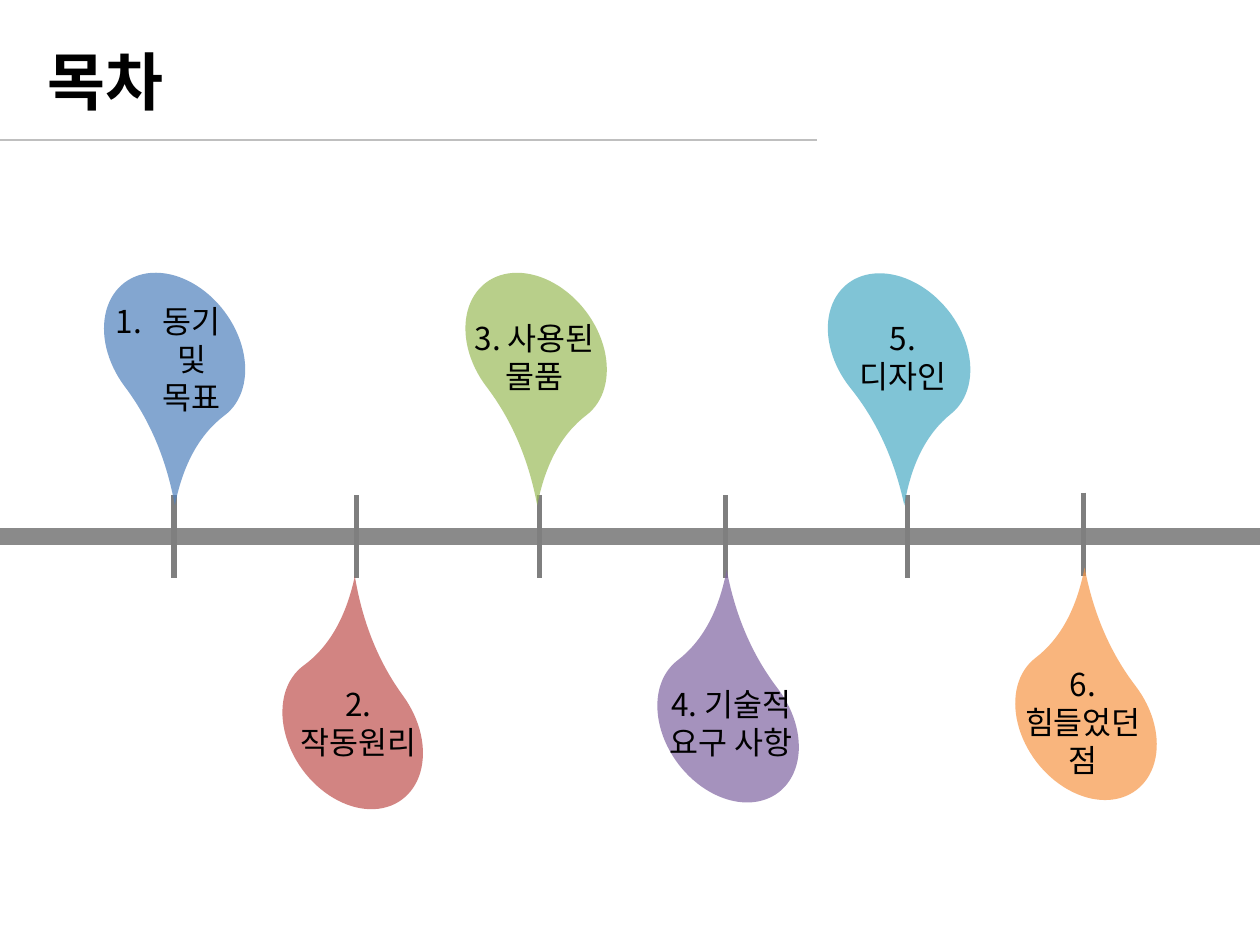
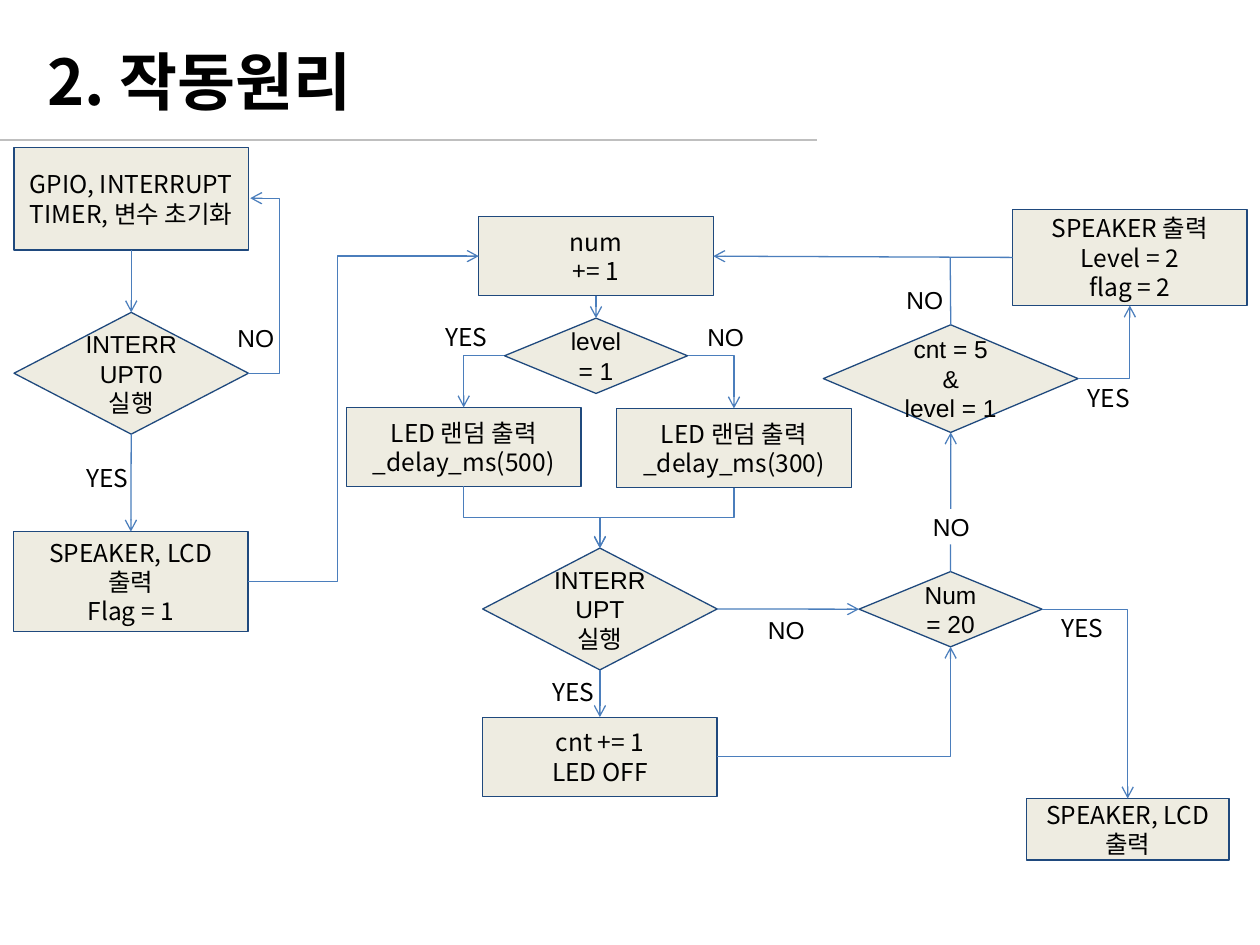
from lxml.etree import SubElement
from pptx import Presentation
from pptx.dml.color import RGBColor
from pptx.enum.shapes import MSO_CONNECTOR, MSO_SHAPE
from pptx.enum.text import MSO_ANCHOR, PP_ALIGN
from pptx.oxml.ns import qn
from pptx.util import Pt

COLORS = {
    "text": "000000", "white": "FFFFFF", "rule": "BFBFBF",
    "axis": "8A8A8A", "tick": "7F7F7F",
    "node": "EEECE1", "border": "1F497D", "flow": "4B7EBC",
    "blue": "4F81BD", "red": "C0504D", "green": "9BBB59",
    "purple": "8064A2", "teal": "4BACC6", "orange": "F79646",
}
KOREAN = "Noto Sans CJK KR"
LATIN = "Arial"
SIDES = {"left": (0, 0.5), "right": (1, 0.5), "top": (0.5, 0), "bottom": (0.5, 1)}


def rgb(name):
    return RGBColor.from_string(COLORS[name])


def points(*lengths):
    return [Pt(length) for length in lengths]


def write(shape, text, size=14, face=KOREAN, bold=False, align=PP_ALIGN.CENTER,
          anchor=MSO_ANCHOR.MIDDLE, inset=7.2, numbered=False):
    frame = shape.text_frame
    frame.word_wrap = True
    frame.vertical_anchor = anchor
    frame.margin_left = frame.margin_right = Pt(7.2)
    frame.margin_top = frame.margin_bottom = Pt(inset)
    for index, words in enumerate(text.split("\n")):
        paragraph = frame.add_paragraph() if index else frame.paragraphs[0]
        paragraph.alignment = align
        if numbered:
            properties = paragraph._p.get_or_add_pPr()
            properties.set("marL", str(Pt(27)))
            properties.set("indent", str(Pt(-27)))
            SubElement(properties, qn("a:buFont"), typeface="+mj-lt")
            SubElement(properties, qn("a:buAutoNum"), type="arabicPeriod")
        run = paragraph.add_run()
        run.text = words
        run.font.size = Pt(size)
        run.font.bold = bold
        run.font.name = face
        run.font.color.rgb = rgb("text")
        SubElement(run._r.get_or_add_rPr(), qn("a:ea"), typeface=KOREAN)


class Deck:
    def __init__(self):
        self.presentation = Presentation()
        self.presentation.slide_width = Pt(720)
        self.presentation.slide_height = Pt(540)
        self.slide = None

    def add_slide(self, title, title_width):
        self.slide = self.presentation.slides.add_slide(self.presentation.slide_layouts[6])
        heading = self.slide.shapes.add_textbox(*points(20.2, 20.9, title_width, 51.1))
        write(heading, title, size=36, bold=True, align=PP_ALIGN.LEFT,
              anchor=MSO_ANCHOR.TOP, inset=3.6)
        self.line((0, 80), (467, 80), "rule")

    def shape(self, preset, box, fill=None, border=None):
        shape = self.slide.shapes.add_shape(preset, *points(*box))
        shape.shadow.inherit = False
        if fill:
            shape.fill.solid()
            shape.fill.fore_color.rgb = rgb(fill)
        else:
            shape.fill.background()
        if border:
            shape.line.color.rgb = rgb(border)
            shape.line.width = Pt(0.75)
        else:
            shape.line.fill.background()
        return shape

    def drop(self, box, rotation, color, hanging):
        drop = self.shape(MSO_SHAPE.TEAR, box, color)
        drop.adjustments[0] = 1.506
        drop.rotation = rotation
        properties = drop._element.spPr
        if hanging:
            properties.find(qn("a:xfrm")).set("flipH", "1")
        shade = properties.find(qn("a:solidFill")).find(qn("a:srgbClr"))
        SubElement(shade, qn("a:alpha"), val="70000")

    def caption(self, text, box, numbered=False):
        brackets = self.shape(MSO_SHAPE.DOUBLE_BRACKET, box, border="white")
        write(brackets, text, size=18, inset=3.6, numbered=numbered)

    def node(self, preset, text, box):
        face = LATIN if preset == MSO_SHAPE.DIAMOND else KOREAN
        write(self.shape(preset, box, "node", "border"), text, face=face)

    def answer(self, text, left, top):
        face = KOREAN if text == "YES" else LATIN
        write(self.shape(MSO_SHAPE.RECTANGLE, (left, top, 41.8, 20.2), "white"), text, face=face)

    def line(self, start, end, color="flow", width=0.75, arrow=False, kind=MSO_CONNECTOR.STRAIGHT):
        connector = self.slide.shapes.add_connector(kind, *points(*start, *end))
        connector.line.color.rgb = rgb(color)
        connector.line.width = Pt(width)
        properties = connector._element.spPr
        if arrow:
            SubElement(properties.find(qn("a:ln")), qn("a:tailEnd"), type="arrow")
        SubElement(properties, qn("a:effectLst"))
        return properties

    def arrow(self, start, end):
        self.line(start, end, arrow=True)

    def corner(self, start, end):
        elbow = self.line(start, end, arrow=True, kind=MSO_CONNECTOR.ELBOW)
        elbow.find(qn("a:prstGeom")).set("prst", "bentConnector2")

    def detour(self, start, end, turn):
        elbow = self.line(start, end, arrow=True, kind=MSO_CONNECTOR.ELBOW)
        share = (turn - start[0]) / (end[0] - start[0])
        guides = elbow.find(qn("a:prstGeom")).find(qn("a:avLst"))
        SubElement(guides, qn("a:gd"), name="adj1", fmla=f"val {round(share * 100000)}")

    def merge(self, start, end):
        center_x, center_y = (start[0] + end[0]) / 2, (start[1] + end[1]) / 2
        half_x, half_y = (end[0] - start[0]) / 2, (end[1] - start[1]) / 2
        elbow = self.line((center_x - half_y, center_y + half_x),
                          (center_x + half_y, center_y - half_x),
                          arrow=True, kind=MSO_CONNECTOR.ELBOW)
        elbow.find(qn("a:xfrm")).set("rot", "5400000")


def build_contents(deck):
    deck.add_slide("목차", 87.1)
    deck.line((0, 306.7), (720, 306.7), "axis", 10)
    for tick, top in ((99.4, 283), (203.8, 283), (308.2, 283),
                      (414.7, 283), (518.4, 283), (619.2, 281.5)):
        deck.line((tick, top), (tick, top + 47.5), "tick", 3)

    for left, rotation, color in ((64.1, 143, "blue"), (270.7, 142.7, "green"),
                                  (478.1, 141.2, "teal")):
        deck.drop((left, 151.9, 71.3, 95), rotation, color, hanging=False)
    for left, top, rotation, color in ((154.1, 383, 53.9, "red"),
                                       (368.6, 379.4, 52.6, "purple"),
                                       (573.1, 378, 52.6, "orange")):
        deck.drop((left, top, 95, 71.3), rotation, color, hanging=True)

    deck.caption("동기 및 목표", (47.5, 162, 97.2, 86.4), numbered=True)
    for text, left, top, width in (
        ("2. 작동원리", 156.2, 370.1, 97.2),
        ("3. 사용된\n물품", 257, 160.6, 97.2),
        ("4. 기술적\n요구 사항", 364.3, 370.1, 107.3),
        ("5. 디자인", 471.6, 160.6, 88.6),
        ("6. 힘들었던 점", 565.2, 369.4, 107.3),
    ):
        deck.caption(text, (left, top, width, 86.4))


def build_flowchart(deck):
    process, decision = MSO_SHAPE.RECTANGLE, MSO_SHAPE.DIAMOND
    steps = {
        "setup": (process, "GPIO, INTERRUPT\nTIMER, 변수 초기화", (8, 84.2, 134, 58.7)),
        "wait": (decision, "INTERRUPT0\n실행", (8, 178.5, 134, 69.6)),
        "begin": (process, "SPEAKER, LCD 출력\nFlag = 1", (7.8, 303.8, 134, 57.2)),
        "next": (process, "num\n+= 1", (273.6, 123.8, 134, 45.2)),
        "level": (decision, "level = 1", (288.3, 181.8, 104.6, 43)),
        "slow": (process, "LED 랜덤 출력\n_delay_ms(500)", (198, 232.8, 134, 45.2)),
        "fast": (process, "LED 랜덤 출력\n_delay_ms(300)", (352.4, 233.4, 134, 45.2)),
        "press": (decision, "INTERRUPT\n실행", (275.8, 313.2, 134, 69.6)),
        "score": (process, "cnt += 1\nLED OFF", (275.8, 409.8, 134, 45.2)),
        "rounds": (decision, "Num = 20", (490.9, 326.6, 104.6, 43)),
        "target": (decision, "cnt = 5\n&\nlevel = 1", (470.5, 185.6, 145.6, 61.5)),
        "raise": (process, "SPEAKER 출력\nLevel = 2\nflag = 2", (578.6, 119.6, 134, 55)),
        "finish": (process, "SPEAKER, LCD 출력", (586.4, 456.3, 116, 35.2)),
    }

    def port(step, side):
        left, top, width, height = steps[step][2]
        across, down = SIDES[side]
        return left + width * across, top + height * down

    deck.add_slide("2. 작동원리", 203)
    for text, left, top in (("YES", 597.6, 348.5), ("YES", 612.7, 217.4),
                            ("YES", 306.7, 385.2), ("YES", 40.3, 262.8),
                            ("NO", 125.3, 182.9), ("NO", 507.6, 161.3),
                            ("YES", 245.5, 182.2), ("NO", 393.8, 182.2)):
        deck.answer(text, left, top)
    for preset, text, box in steps.values():
        deck.node(preset, text, box)

    for source, source_side, target, target_side in (
        ("setup", "bottom", "wait", "top"),
        ("wait", "bottom", "begin", "top"),
        ("next", "bottom", "level", "top"),
        ("press", "bottom", "score", "top"),
        ("press", "right", "rounds", "left"),
        ("rounds", "top", "target", "bottom"),
        ("raise", "left", "next", "right"),
    ):
        deck.arrow(port(source, source_side), port(target, target_side))
    for source, source_side, target, target_side in (
        ("level", "left", "slow", "top"),
        ("level", "right", "fast", "top"),
        ("score", "right", "rounds", "bottom"),
        ("rounds", "right", "finish", "top"),
        ("target", "right", "raise", "bottom"),
    ):
        deck.corner(port(source, source_side), port(target, target_side))
    for source in ("slow", "fast"):
        deck.merge(port(source, "bottom"), port("press", "top"))
    deck.detour(port("wait", "right"), (143, 113.3), 159.8)
    deck.detour(port("begin", "right"), port("next", "left"), 193)
    deck.line(port("target", "top"), (543, 146.9))

    deck.answer("NO", 428.4, 349.9)
    deck.answer("NO", 522.7, 290.9)


def main():
    deck = Deck()
    build_contents(deck)
    build_flowchart(deck)
    deck.presentation.save("out.pptx")


if __name__ == "__main__":
    main()
